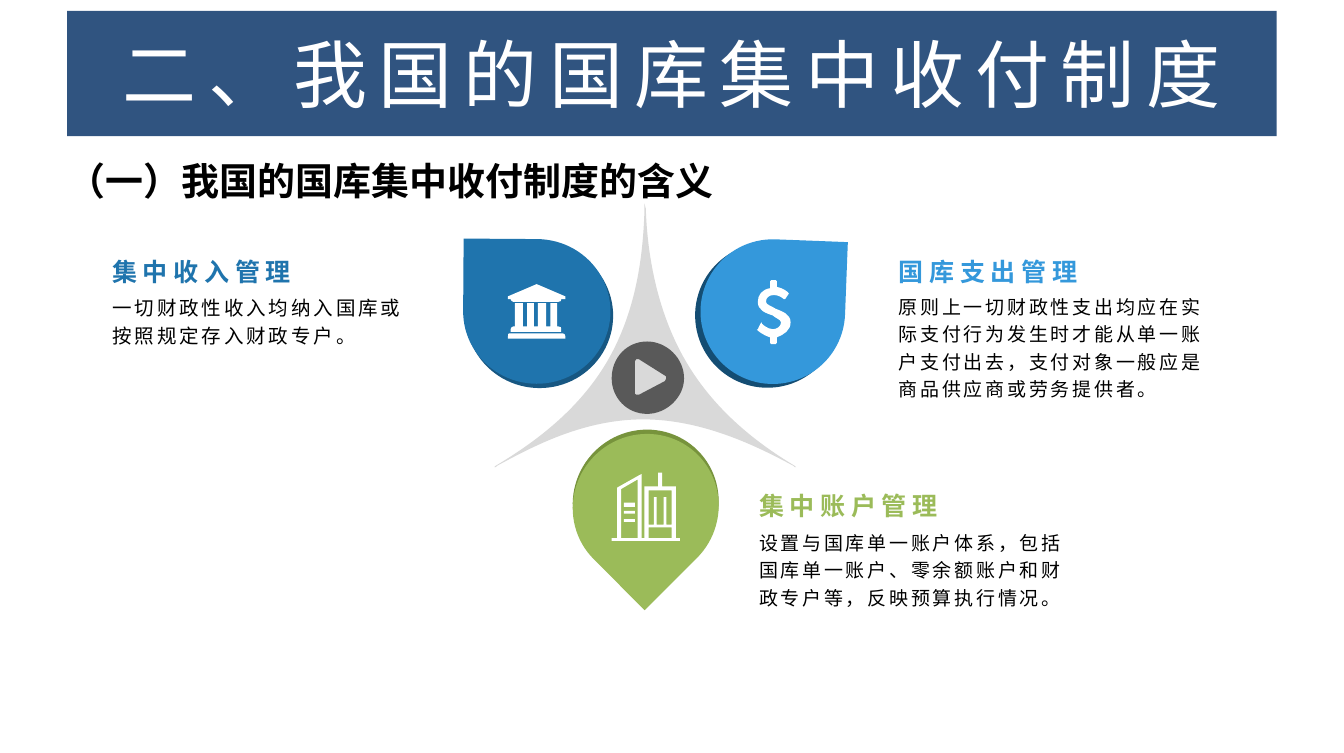
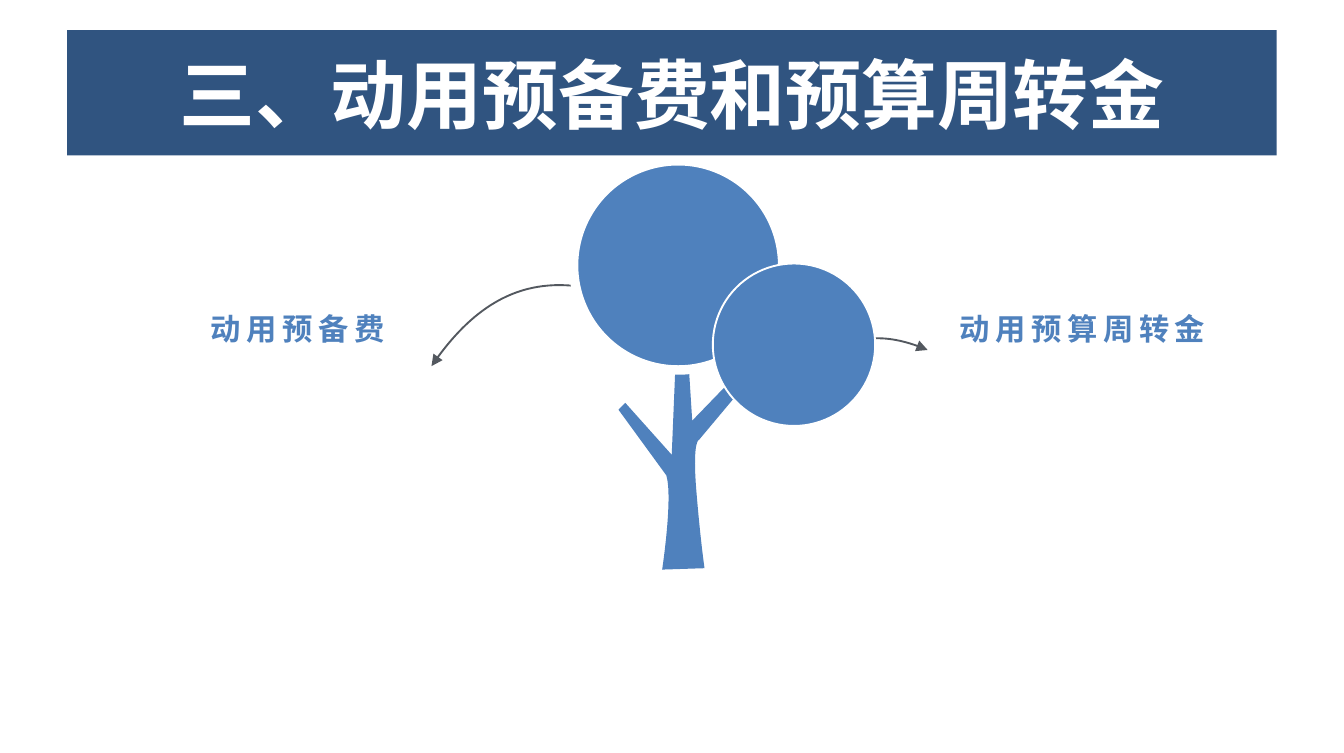
from dataclasses import dataclass

from lxml.etree import SubElement
from pptx import Presentation
from pptx.dml.color import RGBColor
from pptx.enum.shapes import MSO_SHAPE
from pptx.enum.text import MSO_ANCHOR, MSO_AUTO_SIZE, PP_ALIGN
from pptx.oxml.ns import qn
from pptx.util import Cm, Pt


@dataclass(frozen=True)
class Theme:
    band: str = "305480"
    white: str = "FFFFFF"
    black: str = "000000"
    blue: str = "1F74AD"
    sky: str = "3498DB"
    green: str = "9BBB59"
    navy: str = "175782"
    deep: str = "144D73"
    olive: str = "77933C"
    pale: str = "D9D9D9"
    gray: str = "595959"
    arrow: str = "53585F"
    tree: str = "4F81BD"
    font: str = "Noto Sans CJK SC"
    latin: str = "Calibri"
    wide: float = 39
    title: float = 40
    section: float = 20
    head: float = 13.2
    first: float = 10.3
    body: float = 10
    label: float = 16


LOOK = Theme()
UNIT = Cm(0.0254)

SECTION = "（一）我国的国库集中收付制度的含义"
TOPICS = [
    ("集中收入管理", "一切财政性收入均纳入国库或按照规定存入财政专户。",
     1.91, 4.52, 5.41, LOOK.blue, LOOK.first),
    ("国库支出管理",
     "原则上一切财政性支出均应在实际支付行为发生时才能从单一账户支付出去，"
     "支付对象一般应是商品供应商或劳务提供者。",
     16.54, 4.52, 5.41, LOOK.sky, LOOK.body),
    ("集中账户管理",
     "设置与国库单一账户体系，包括国库单一账户、零余额账户和财政专户等，"
     "反映预算执行情况。",
     13.94, 8.86, 9.8, LOOK.green, LOOK.body),
]
DROPS = [
    (8.69, 4.5, 2.69, 2.74, 270.4, LOOK.navy),
    (8.64, 4.42, 2.69, 2.74, 270.4, LOOK.blue),
    (12.93, 4.52, 2.69, 2.69, 2.2, LOOK.deep),
    (13.03, 4.45, 2.69, 2.69, 2.2, LOOK.sky),
    (10.64, 8, 2.74, 2.69, 135.1, LOOK.olive),
    (10.64, 8.08, 2.74, 2.69, 135.1, LOOK.green),
]
STAR = """M 472,149 L 473,153 C 473,153 473,153 473,154
 474,183 480,226 502,264 524,302 557,326 582,341 L 583,342 582,342 581,341
 C 555,327 515,307 471,307 427,307 390,327 364,341 L 363,342 362,342 363,341
 C 388,326 423,302 445,264 467,226 471,184 472,154 L 472,153"""
BANK = """M 414,217 L 414,219 411,219 C 411,220 411,221 409,221 L 376,221
 C 375,221 374,220 374,219 L 372,219 372,217 393,208
 M 414,246 L 414,248 372,248 372,246 C 372,245 372,244 373,244 L 412,244
 C 413,244 414,245 414,246
 M 383,222 L 383,239 386,239 386,222 391,222 391,239 394,239 394,222
 400,222 400,239 403,239 403,222 408,222 408,239 409,239
 C 411,239 411,240 411,241 L 411,243 374,243 374,241
 C 374,240 375,239 376,239 L 377,239 377,222"""
PLAY = """M 501,277 C 501,291 488,303 474,303 459,303 448,291 448,277
 448,262 459,250 474,250 488,250 501,262 501,277
 M 488,277 C 488,276 488,275 487,275 L 468,263 C 468,263 467,263 466,263
 465,264 465,265 465,265 L 465,287 C 465,288 465,289 466,289 L 468,289
 487,279 C 488,278 488,278 488,277"""
DOLLAR = """M 569,247 L 569,251 C 569,251 568,252 568,252 L 565,252
 C 564,252 564,251 564,251 L 564,247 C 558,245 555,242 555,242
 554,242 554,241 555,241 L 557,237 C 557,237 558,236 558,236
 558,236 558,237 558,237 558,237 562,241 566,241 569,241 572,239 572,236
 572,234 568,233 566,231 560,229 555,227 555,221 555,216 558,212 564,211
 L 564,206 C 564,205 564,205 565,205 L 568,205 C 568,205 569,205 569,206
 L 569,210 C 574,211 577,214 577,214 578,215 578,215 577,216 L 575,219
 574,219 C 574,219 571,216 567,216 563,216 561,218 561,221
 561,223 565,224 568,226 573,228 579,230 579,236 579,242 574,245 569,247"""
TOWER = """M 498,396 L 448,396 448,394 452,394 452,357 468,348 470,347 470,394
 472,394 472,356 482,356 482,346 485,346 485,356 495,356 495,394 498,394
 M 467,351 L 455,358 455,394 467,394
 M 492,359 L 475,359 475,384 479,384 479,364 481,364 481,384 486,384
 486,364 488,364 488,384 492,384
 M 492,386 L 475,386 475,394 492,394
 M 465,376 L 457,376 457,374 465,374
 M 465,382 L 457,382 457,380 465,380
 M 457,368 L 465,368 465,371 457,371"""
ICONS = [(STAR, LOOK.pale), (PLAY, LOOK.gray)]
SIGNS = [(BANK, LOOK.white), (DOLLAR, LOOK.white), (TOWER, LOOK.white)]

LABELS = [
    ("动用预备费", 1.81, PP_ALIGN.RIGHT),
    ("动用预算周转金", 17.6, PP_ALIGN.LEFT),
]
ARCS = [
    ("M 316,268 C 350,218 391,200 441,213", 0),
    ("M 672,238 C 637,240 614,256 603,287", 26.8),
]
TRUNK = """M 485,417 C 485,417 493,364 488,348 L 453,300 458,295 492,333
 495,261 504,261 507,308 537,277 543,285 512,322
 C 512,322 507,322 510,359 513,396 516,416 516,416"""
CROWNS = [(10.67, 2.99, 3.89, 5), (13.26, 4.9, 3.02, 1)]


def color(code):
    return RGBColor.from_string(code)


def write(frame, text, size, ink, bold=False, gap=0, font=LOOK.font,
          align=PP_ALIGN.LEFT, lead=None, anchor=MSO_ANCHOR.TOP,
          pad=(0.25, 0.13, 0.25, 0.13)):
    frame.word_wrap = True
    frame.auto_size = MSO_AUTO_SIZE.NONE
    frame.vertical_anchor = anchor
    (frame.margin_left, frame.margin_top,
     frame.margin_right, frame.margin_bottom) = map(Cm, pad)
    para = frame.paragraphs[0]
    para.alignment = align
    if lead:
        para.line_spacing = lead
    run = para.add_run()
    run.text = text
    run.font.size = Pt(size)
    run.font.bold = bold
    run.font.name = font
    run.font.color.rgb = color(ink)
    props = run.font._element
    props.set("spc", str(int(gap * 100)))
    SubElement(props, qn("a:ea")).set("typeface", LOOK.font)


def add_text(slide, text, spot, **form):
    box = slide.shapes.add_textbox(*map(Cm, spot))
    write(box.text_frame, text, **form)


def paint(shape, fill=None, line=None, width=1):
    shape.shadow.inherit = False
    if fill:
        shape.fill.solid()
        shape.fill.fore_color.rgb = color(fill)
    else:
        shape.fill.background()
    if line:
        shape.line.color.rgb = color(line)
        shape.line.width = Pt(width)
    else:
        shape.line.fill.background()


def trace(path):
    loops, held, mode = [], [], ""
    for word in path.split():
        if word in "MLC":
            mode = word
            continue
        held.append(tuple(int(n) * UNIT for n in word.split(",")))
        if mode == "M":
            loops.append([])
        if mode != "C" or len(held) == 3:
            loops[-1].append(held)
            held = []
    return loops


def curve(shape, loops):
    sides = [side for loop in loops for side in loop[1:]]
    lines = list(shape._element.iter(qn("a:lnTo")))
    for line, side in zip(lines, sides):
        if len(side) == 3:
            line.tag = qn("a:cubicBezTo")
            line.clear()
            for x, y in side:
                knot = SubElement(line, qn("a:pt"))
                knot.set("x", str(x - shape.left))
                knot.set("y", str(y - shape.top))


def draw(slide, path, close=True, **style):
    loops = trace(path)
    pen = slide.shapes.build_freeform(*loops[0][0][0])
    for turn, loop in enumerate(loops):
        if turn:
            pen.move_to(*loop[0][0])
        pen.add_line_segments([side[-1] for side in loop[1:]], close=close)
    shape = pen.convert_to_shape()
    curve(shape, loops)
    paint(shape, **style)
    return shape


def add_slide(deck, title, top, **form):
    slide = deck.slides.add_slide(deck.slide_layouts[5])
    band = slide.shapes.title
    band.left, band.top, band.width, band.height = map(
        Cm, (1.25, top, 22.5, 2.33))
    band.fill.solid()
    band.fill.fore_color.rgb = color(LOOK.band)
    write(band.text_frame, title, ink=LOOK.white, align=PP_ALIGN.CENTER,
          anchor=MSO_ANCHOR.MIDDLE, pad=(0.23, 0.1, 0.23, 0.1), **form)
    return slide


def add_meaning(deck):
    slide = add_slide(deck, "二、我国的国库集中收付制度", 0.2,
                      size=LOOK.wide, gap=6)
    for path, ink in ICONS:
        draw(slide, path, fill=ink)
    for left, top, width, height, turn, ink in DROPS:
        drop = slide.shapes.add_shape(
            MSO_SHAPE.TEAR, *map(Cm, (left, top, width, height)))
        drop.rotation = turn
        paint(drop, fill=ink)
    for path, ink in SIGNS:
        draw(slide, path, fill=ink)
    for head, body, left, top, low, ink, size in TOPICS:
        add_text(slide, body, (left, low, 6.15, 1.3), size=size,
                 ink=LOOK.black, gap=1.5, lead=1.2, pad=(0.18, 0, 0.18, 0.1))
        add_text(slide, head, (left, top, 6.15, 0.81), size=LOOK.head,
                 ink=ink, bold=True, gap=3, lead=1.2,
                 anchor=MSO_ANCHOR.BOTTOM, pad=(0.18, 0.1, 0.18, 0))
    add_text(slide, SECTION, (1, 2.8, 12.7, 1.12), size=LOOK.section,
             ink=LOOK.black, bold=True)


def add_funds(deck):
    slide = add_slide(deck, "三、动用预备费和预算周转金", 0.56,
                      size=LOOK.title, bold=True, font=LOOK.latin)
    for path, turn in ARCS:
        arc = draw(slide, path, close=False, line=LOOK.arrow)
        arc.rotation = turn
        edge = arc.line._get_or_add_ln()
        SubElement(edge, qn("a:headEnd")).set("type", "triangle")
    for text, left, align in LABELS:
        add_text(slide, text, (left, 5.44, 5.6, 1), size=LOOK.label,
                 ink=LOOK.tree, bold=True, gap=3, lead=1.2, align=align,
                 anchor=MSO_ANCHOR.BOTTOM, pad=(0.25, 0.13, 0.25, 0))
    draw(slide, TRUNK, fill=LOOK.tree)
    for left, top, size, width in CROWNS:
        crown = slide.shapes.add_shape(
            MSO_SHAPE.OVAL, *map(Cm, (left, top, size, size)))
        paint(crown, fill=LOOK.tree, line=LOOK.white, width=width)


def main():
    deck = Presentation()
    deck.slide_width, deck.slide_height = Cm(25), Cm(14)
    add_meaning(deck)
    add_funds(deck)
    deck.save("out.pptx")


if __name__ == "__main__":
    main()
